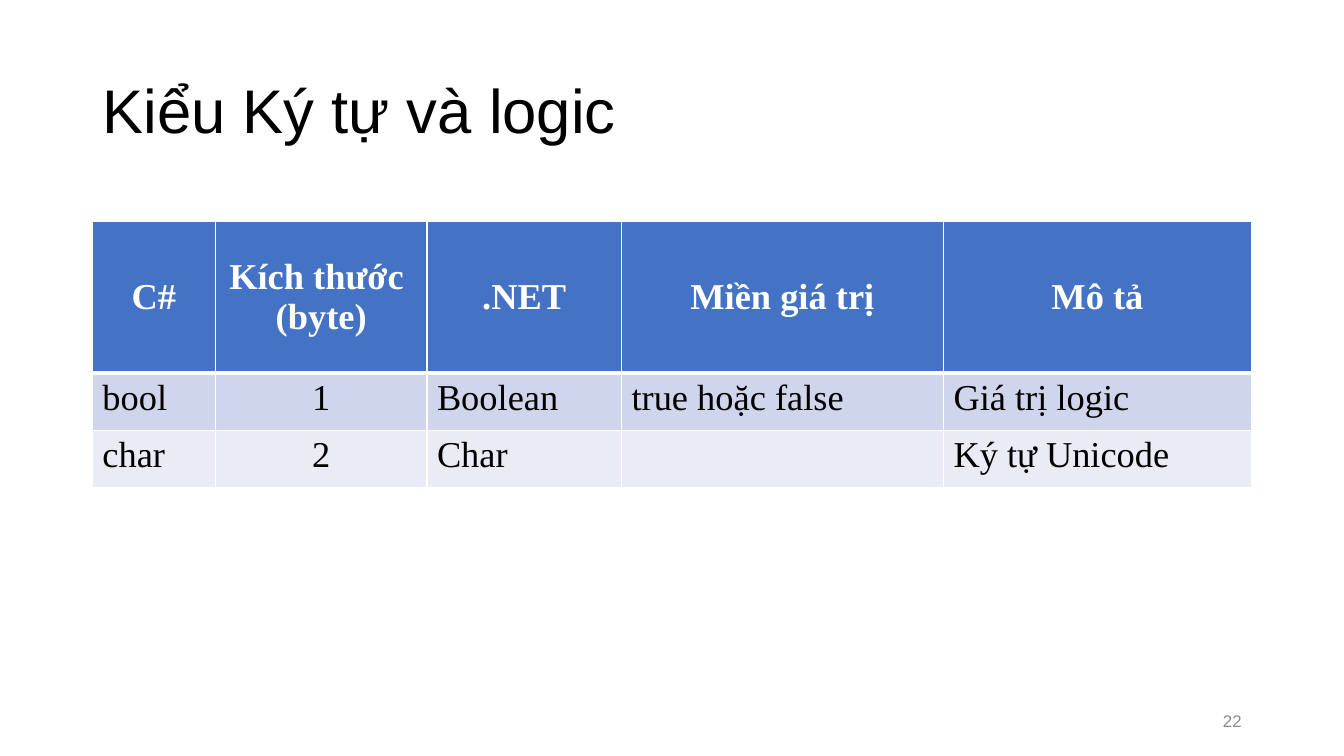
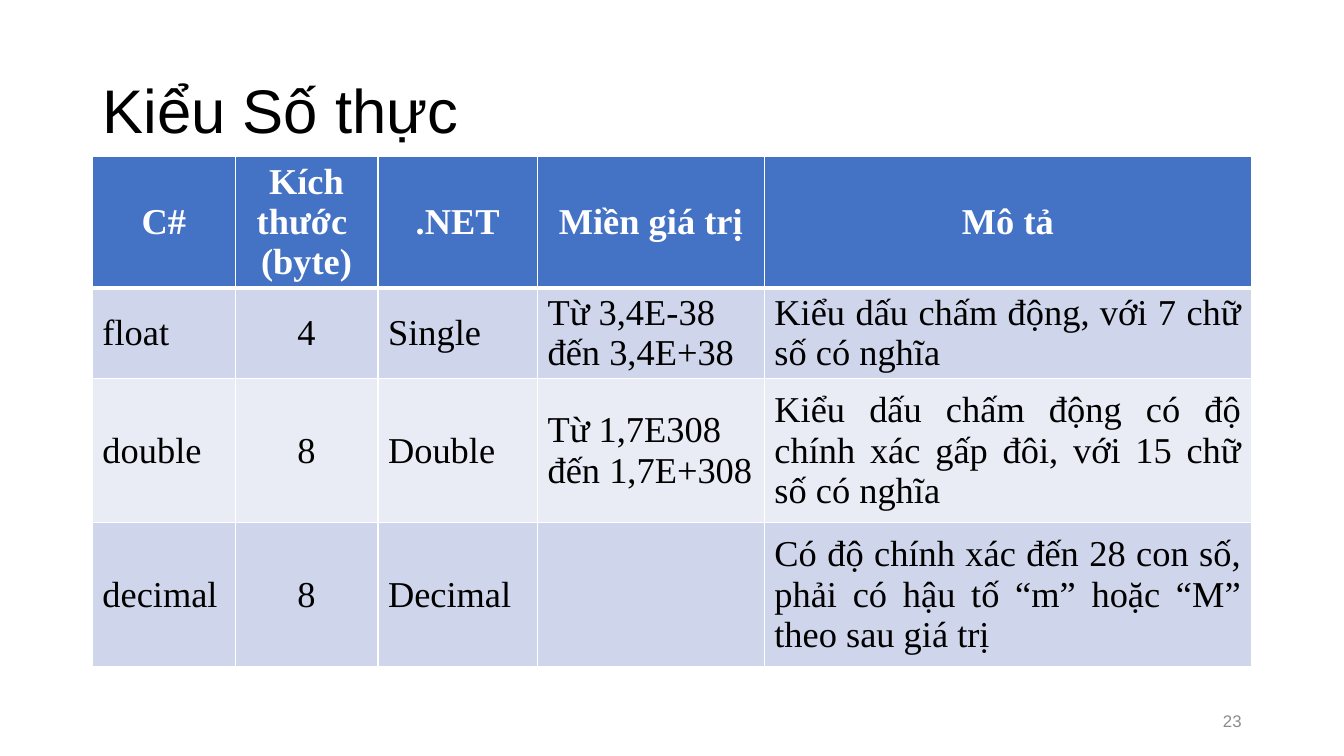
from dataclasses import dataclass

from lxml.etree import SubElement
from pptx import Presentation
from pptx.dml.color import RGBColor
from pptx.enum.text import MSO_ANCHOR as Anchor, PP_ALIGN as Align
from pptx.oxml.ns import qn
from pptx.util import Pt


@dataclass(frozen=True)
class Theme:
    text: str = "000000"
    white: str = "FFFFFF"
    header: str = "4472C4"
    bands: tuple = ("CFD5EA", "E9EBF5")
    number: str = "8C8C8C"
    title_font: str = "Arial"
    table_font: str = "Times New Roman"
    title_size: int = 44
    table_size: int = 26
    number_size: int = 12


theme = Theme()
LEFT, WIDTH = 66, 828
HEADINGS = ["C#", "Kích thước \n(byte)", ".NET", "Miền giá trị", "Mô tả"]

slides = [
    {
        "title": "Kiểu Ký tự và logic",
        "number": 22,
        "top": 158.4,
        "columns": [88, 151, 139, 230, 220],
        "heights": [108, 41, 41],
        "body_anchor": Anchor.TOP,
        "description_align": Align.LEFT,
        "rows": [
            ["bool", "1", "Boolean", "true hoặc false", "Giá trị logic"],
            ["char", "2", "Char", "", "Ký tự Unicode"],
        ],
    },
    {
        "title": "Kiểu Số thực",
        "number": 23,
        "top": 112,
        "columns": [102, 102, 114, 162, 348],
        "heights": [85, 59, 103, 103],
        "body_anchor": Anchor.MIDDLE,
        "description_align": Align.JUSTIFY,
        "rows": [
            ["float", "4", "Single", "Từ 3,4E-38\nđến 3,4E+38",
             "Kiểu dấu chấm động, với 7 chữ số có nghĩa"],
            ["double", "8", "Double", "Từ 1,7E308\nđến 1,7E+308",
             "Kiểu dấu chấm động có độ chính xác gấp đôi, với 15 chữ số có nghĩa"],
            ["decimal", "8", "Decimal", "",
             "Có độ chính xác đến 28 con số, phải có hậu tố “m” hoặc “M” theo sau giá trị"],
        ],
    },
]


def write(frame, text, font, size, color, align, bold=False):
    """Write each line of text as one paragraph with a single styled run."""
    for index, line in enumerate(text.split("\n")):
        paragraph = frame.add_paragraph() if index else frame.paragraphs[0]
        paragraph.alignment = align
        run = paragraph.add_run()
        run.text = line
        run.font.name = font
        run.font.size = Pt(size)
        run.font.bold = bold
        run.font.color.rgb = RGBColor.from_string(color)


def set_borders(cell, top, bottom):
    """Draw white cell edges; must run before the cell's fill is set."""
    properties = cell._tc.get_or_add_tcPr()
    for side, width in (("L", 1), ("R", 1), ("T", top), ("B", bottom)):
        line = SubElement(properties, qn(f"a:ln{side}"), w=str(Pt(width)))
        fill = SubElement(line, qn("a:solidFill"))
        SubElement(fill, qn("a:srgbClr"), val=theme.white)


presentation = Presentation()
presentation.slide_width, presentation.slide_height = Pt(960), Pt(540)
title_only = presentation.slide_layouts[5]

for content in slides:
    slide = presentation.slides.add_slide(title_only)

    title = slide.shapes.title
    title.left, title.top, title.width, title.height = Pt(LEFT), Pt(28.75), Pt(WIDTH), Pt(104.4)
    title.text_frame.vertical_anchor = Anchor.MIDDLE
    write(title.text_frame, content["title"], theme.title_font, theme.title_size,
          theme.text, Align.LEFT)
    title.text_frame.paragraphs[0].line_spacing = 0.9

    rows = [HEADINGS] + content["rows"]
    table = slide.shapes.add_table(
        len(rows), len(HEADINGS), Pt(LEFT), Pt(content["top"]),
        Pt(WIDTH), Pt(sum(content["heights"]))).table
    for column, width in zip(table.columns, content["columns"]):
        column.width = Pt(width)
    for row, height in zip(table.rows, content["heights"]):
        row.height = Pt(height)

    body_aligns = [Align.LEFT, Align.CENTER, Align.LEFT, Align.LEFT,
                   content["description_align"]]
    for row_index, texts in enumerate(rows):
        is_header = row_index == 0
        for column_index, text in enumerate(texts):
            cell = table.cell(row_index, column_index)
            set_borders(cell, top=3 if row_index == 1 else 1, bottom=3 if is_header else 1)
            cell.fill.solid()
            cell.fill.fore_color.rgb = RGBColor.from_string(
                theme.header if is_header else theme.bands[(row_index - 1) % 2])
            cell.vertical_anchor = Anchor.MIDDLE if is_header else content["body_anchor"]
            if text:
                write(cell.text_frame, text, theme.table_font, theme.table_size,
                      theme.white if is_header else theme.text,
                      Align.CENTER if is_header else body_aligns[column_index],
                      bold=is_header)

    number = slide.shapes.add_textbox(Pt(678), Pt(500.5), Pt(216), Pt(28.75))
    number.text_frame.word_wrap = True
    number.text_frame.vertical_anchor = Anchor.MIDDLE
    write(number.text_frame, str(content["number"]), theme.title_font, theme.number_size,
          theme.number, Align.RIGHT)

presentation.save("out.pptx")
